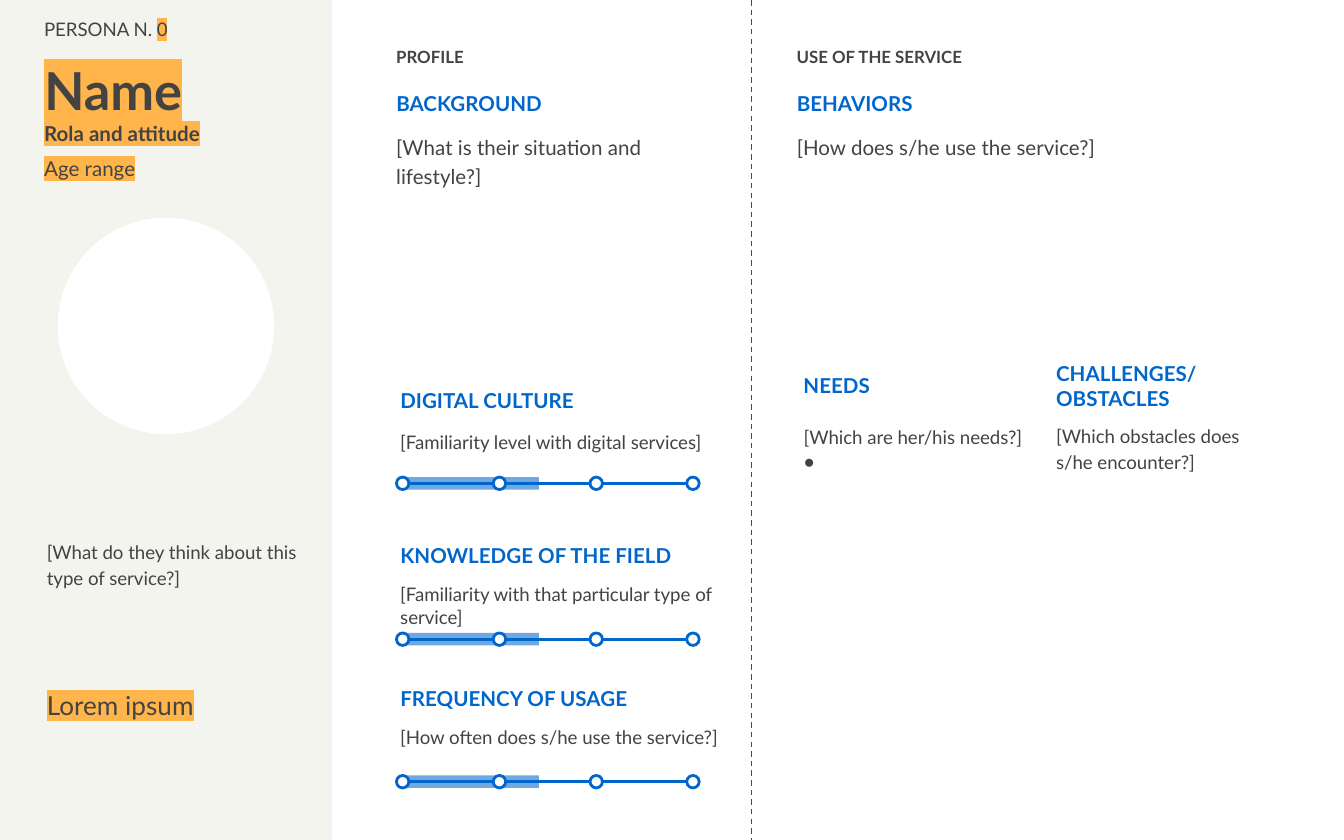
"""Build a persona template slide: identity sidebar, profile and use of the service."""
from lxml.etree import SubElement
from pptx import Presentation
from pptx.dml.color import RGBColor
from pptx.enum.dml import MSO_LINE
from pptx.enum.shapes import MSO_CONNECTOR, MSO_SHAPE
from pptx.enum.text import MSO_ANCHOR as Anchor, MSO_AUTO_SIZE, PP_ALIGN
from pptx.oxml.ns import qn
from pptx.util import Inches, Pt

COLORS = {
    "ink": "434343",
    "blue": "0066CC",
    "divider": "0056CB",
    "mark": "FFB54C",
    "sidebar": "F4F4EF",
    "white": "FFFFFF",
}
FONT = "Lato"
WIDTH, HEIGHT = Inches(10), Inches(6.25)
CELL = WIDTH / 100
ROWS = HEIGHT / CELL


def grid(*cells):
    """Turn grid cells into slide lengths."""
    return [round(cell * CELL) for cell in cells]


def rgb(name):
    """Return a named colour."""
    return RGBColor.from_string(COLORS[name])


def color_node(parent, tag, name):
    """Append an XML element that holds a named colour."""
    SubElement(SubElement(parent, qn(tag)), qn("a:srgbClr"), val=COLORS[name])


def prepare(frame, anchor=Anchor.TOP):
    """Give a text frame wrapping, even insets and an anchor."""
    frame.auto_size = MSO_AUTO_SIZE.NONE
    frame.word_wrap = True
    frame.vertical_anchor = anchor
    frame.margin_left = frame.margin_right = Inches(0.1)
    frame.margin_top = frame.margin_bottom = Inches(0.1)


def write(para, text, size, color="ink", bold=False, spacing=1.0, marked=""):
    """Write a paragraph, with an optional highlighted ending."""
    para.alignment = PP_ALIGN.LEFT
    para.line_spacing = spacing
    para.space_before = Pt(0)
    para.font.name, para.font.size, para.font.bold = FONT, Pt(size), bold
    para.font.color.rgb = rgb(color)
    if text:
        para.add_run().text = text
    if marked:
        span = para.add_run()
        span.text = marked
        color_node(span._r.get_or_add_rPr(), "a:highlight", "mark")


def add_text(page, cells, text, size, anchor=Anchor.TOP, **style):
    """Add a text box with one paragraph."""
    frame = page.shapes.add_textbox(*grid(*cells)).text_frame
    prepare(frame, anchor)
    write(frame.paragraphs[0], text, size, **style)


def add_heading(page, cells, text, size=11, color="blue"):
    """Add a bold heading centred vertically in its box."""
    add_text(page, cells, text, size, Anchor.MIDDLE, color=color, bold=True)


def add_shape(page, kind, cells, fill, outline=None, opacity=None):
    """Add a flat preset shape."""
    shape = page.shapes.add_shape(kind, *grid(*cells))
    shape.shadow.inherit = False
    shape.fill.solid()
    shape.fill.fore_color.rgb = rgb(fill)
    if opacity:
        tint = shape._element.spPr.find(".//" + qn("a:srgbClr"))
        SubElement(tint, qn("a:alpha"), val=str(opacity * 1000))
    if outline:
        shape.line.color.rgb = rgb(outline)
        shape.line.width = Pt(1.5)
    else:
        shape.line.fill.background()


def add_line(page, ends, color, width, dash=None):
    """Add a straight line without a shadow."""
    line = page.shapes.add_connector(MSO_CONNECTOR.STRAIGHT, *grid(*ends))
    line.line.color.rgb = rgb(color)
    line.line.width = Pt(width)
    if dash:
        line.line.dash_style = dash
    SubElement(line._element.spPr, qn("a:effectLst"))


def add_scale(page, top, heading, question, spacing):
    """Add a heading, a question and a four-step scale."""
    dot, step, left = 0.93, 7.2, 29.5
    middle = top + dot / 2
    add_heading(page, (28.8, top - 7.3, 24.8, 3.1), heading)
    add_text(page, (28.8, top - 4.7, 27.7, 3.4), question, 10, spacing=spacing)
    add_line(page, (left + dot, middle, left + 3 * step + dot, middle), "blue", 1.5)
    add_shape(page, MSO_SHAPE.RECTANGLE, (30, top, 10.1, dot), "blue", opacity=56)
    for index in range(4):
        cells = (left + index * step, top, dot, dot)
        add_shape(page, MSO_SHAPE.OVAL, cells, "white", "blue")


def add_name(page):
    """Set the persona's name in the title placeholder, above the sidebar."""
    title = page.shapes.title
    title.left, title.top, title.width, title.height = grid(2.3, 4.6, 20.9, 4.1)
    prepare(title.text_frame, Anchor.MIDDLE)
    write(title.text_frame.paragraphs[0], "", 28, bold=True, marked="Name")
    page.shapes._spTree.append(title._element)


def add_needs(page):
    """Set the needs list in the body placeholder."""
    body = page.placeholders[1]
    body.left, body.top, body.width, body.height = grid(58.8, 30.4, 18.3, 26.6)
    frame = body.text_frame
    prepare(frame)
    question, item = frame.paragraphs[0], frame.add_paragraph()
    write(question, "[Which are her/his needs?]", 10, spacing=1.15)
    write(item, " ", 10, bold=True, spacing=1.15)
    item.space_after = Pt(10)
    for para, indent, bullet in ((question, 0, None), (item, Inches(0.11), "●")):
        props = para._p.get_or_add_pPr()
        props.set("marL", str(indent))
        props.set("indent", str(-indent))
        defaults = props.find(qn("a:defRPr"))
        props.remove(defaults)
        if bullet:
            color_node(props, "a:buClr", "ink")
            SubElement(props, qn("a:buChar"), char=bullet)
        else:
            SubElement(props, qn("a:buNone"))
        props.append(defaults)


def add_sidebar(page):
    """Add the identity column."""
    add_shape(page, MSO_SHAPE.RECTANGLE, (0, 0, 24.7, ROWS), "sidebar")
    add_shape(page, MSO_SHAPE.OVAL, (4.3, 16.2, 16.1, 16.1), "white")
    add_text(page, (2.3, 0.1, 22.4, 2.9), "PERSONA N. ", 10, spacing=1.15, marked="0")
    add_name(page)
    add_text(page, (2.3, 8, 21.9, 3.4), "", 11, bold=True, marked="Rola and attitude")
    add_text(page, (2.3, 10.6, 21.9, 3.4), "", 11, marked="Age range")
    opinion = "[What do they think about this type of service?]"
    add_text(page, (2.5, 39, 20.9, 6), opinion, 10, spacing=1.15)
    add_text(page, (2.5, 50.3, 20.9, 4.4), "", 14, marked="Lorem ipsum")


def main():
    """Build and save the deck."""
    deck = Presentation()
    deck.slide_width, deck.slide_height = WIDTH, HEIGHT
    page = deck.slides.add_slide(deck.slide_layouts[1])
    add_sidebar(page)

    sections = (
        (28.5, 25.7, "PROFILE", "BACKGROUND",
         "[What is their situation and lifestyle?]"),
        (58.3, 37.1, "USE OF THE SERVICE", "BEHAVIORS",
         "[How does s/he use the service?]"),
    )
    for left, width, label, heading, question in sections:
        add_heading(page, (left, 2.7, 15.4, 3.1), label, 9, "ink")
        add_heading(page, (left, 6, 26.8, 3.4), heading)
        add_text(page, (left, 8.8, width, 3.4), question, 11, spacing=1.15)

    scales = (
        (35.5, "DIGITAL CULTURE", "[Familiarity level with digital services]", 1.15),
        (47.1, "KNOWLEDGE OF THE FIELD",
         "[Familiarity with that particular type of service]", 1.0),
        (57.7, "FREQUENCY OF USAGE", "[How often does s/he use the service?]", 1.0),
    )
    for scale in scales:
        add_scale(page, *scale)

    add_line(page, (55.9, 0, 55.9, ROWS), "divider", 0.75, MSO_LINE.DASH)
    add_heading(page, (58.8, 27, 17.3, 3.4), "NEEDS")
    add_needs(page)
    add_heading(page, (77.6, 27, 19.1, 3.4), "CHALLENGES/OBSTACLES")
    obstacles = "[Which obstacles does s/he encounter?]"
    add_text(page, (77.6, 30.4, 18.3, 24.4), obstacles, 10, spacing=1.15)
    deck.save("out.pptx")


if __name__ == "__main__":
    main()
